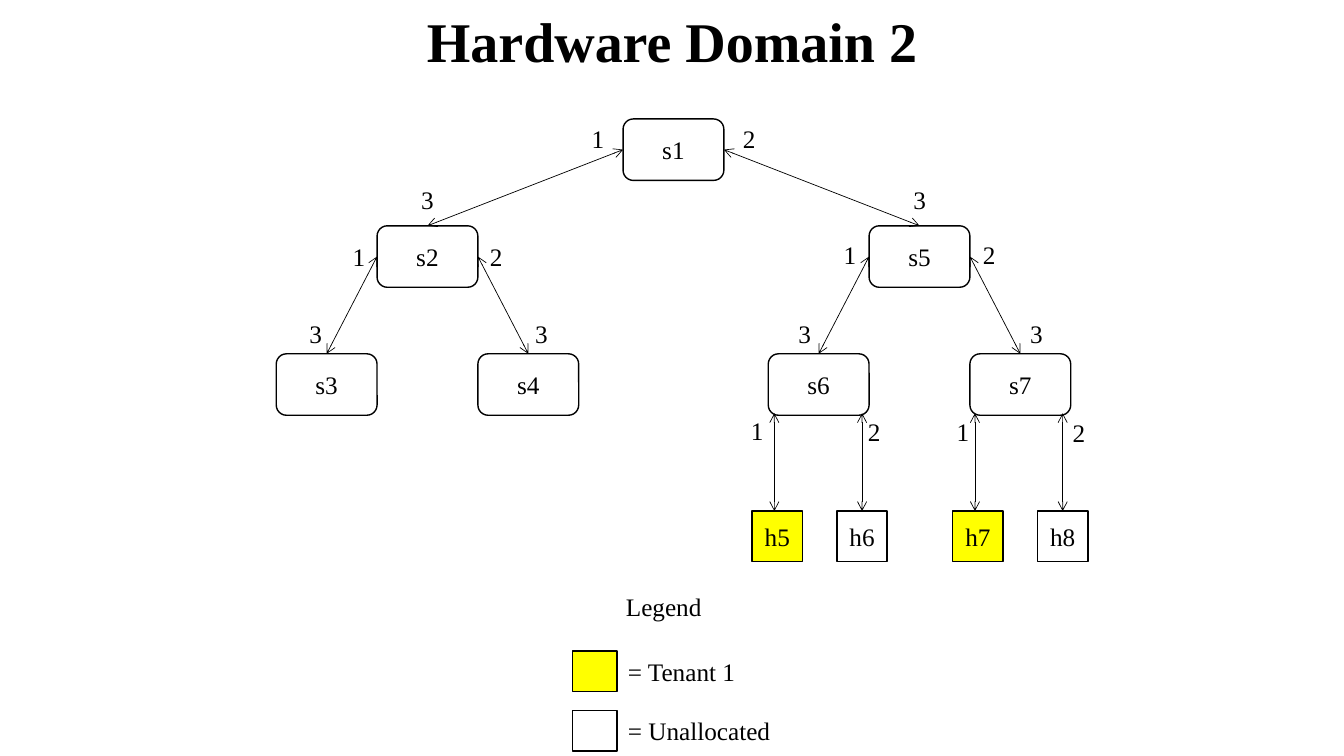
from dataclasses import dataclass

import pptx
import pptx.dml.color
import pptx.enum.shapes
import pptx.enum.text
import pptx.oxml
import pptx.oxml.ns
import pptx.shapes.autoshape
import pptx.shapes.connector
import pptx.slide
import pptx.util
from pptx.util import Inches

BLACK = pptx.dml.color.RGBColor(0, 0, 0)
WHITE = pptx.dml.color.RGBColor(255, 255, 255)
YELLOW = pptx.dml.color.RGBColor(255, 255, 0)
FONT = "Times New Roman"
ROUNDED = pptx.enum.shapes.MSO_SHAPE.ROUNDED_RECTANGLE
RECTANGLE = pptx.enum.shapes.MSO_SHAPE.RECTANGLE
TOP_SITE, LEFT_SITE, RIGHT_SITE = 0, 1, 3


@dataclass(frozen=True)
class Node:
    name: str
    left: float
    top: float
    width: float = 1
    height: float = 0.61
    fill: pptx.dml.color.RGBColor = WHITE
    outline: pptx.enum.shapes.MSO_SHAPE = ROUNDED


@dataclass(frozen=True)
class Uplink:
    child: str
    parent: str
    parent_site: int


@dataclass(frozen=True)
class Label:
    text: str
    left: float
    top: float
    width: float = 0.33
    height: float = 0.4
    size: int = 18
    title: bool = False


HOST_TOP, HOST_SIDE = 5.07, 0.5
LEGEND_LEFT, LEGEND_TOP, LEGEND_STEP = 5.68, 6.46, 0.59

SWITCHES = [
    Node("s1", 6.18, 1.18),
    Node("s2", 3.74, 2.24),
    Node("s5", 8.62, 2.24),
    Node("s3", 2.74, 3.51),
    Node("s4", 4.74, 3.51),
    Node("s6", 7.62, 3.51),
    Node("s7", 9.62, 3.51),
]
HOSTS = [
    Node(name, left, HOST_TOP, HOST_SIDE, HOST_SIDE, fill, RECTANGLE)
    for name, left, fill in [
        ("h5", 7.46, YELLOW),
        ("h6", 8.3, WHITE),
        ("h7", 9.45, YELLOW),
        ("h8", 10.29, WHITE),
    ]
]
UPLINKS = [
    Uplink("s2", "s1", LEFT_SITE),
    Uplink("s5", "s1", RIGHT_SITE),
    Uplink("s3", "s2", LEFT_SITE),
    Uplink("s4", "s2", RIGHT_SITE),
    Uplink("s6", "s5", LEFT_SITE),
    Uplink("s7", "s5", RIGHT_SITE),
]
HOST_LINK_LEFTS = [7.68, 8.55, 9.67, 10.54]
HOST_LINK_TOP = 4.1
PORTS = [
    Label("1", 5.77, 1.17),
    Label("2", 7.27, 1.17),
    Label("3", 4.08, 1.78),
    Label("3", 8.96, 1.78),
    Label("1", 3.4, 2.34),
    Label("2", 4.76, 2.34),
    Label("1", 8.27, 2.33),
    Label("2", 9.65, 2.33),
    Label("3", 2.97, 3.11),
    Label("3", 5.21, 3.11),
    Label("3", 7.82, 3.11),
    Label("3", 10.12, 3.11),
    Label("1", 7.35, 4.07),
    Label("2", 8.51, 4.08),
    Label("1", 9.39, 4.08),
    Label("2", 10.54, 4.09),
]
LEGEND = [("= Tenant 1", 1.27, YELLOW), ("= Unallocated", 1.61, WHITE)]


def write_text(frame: pptx.text.text.TextFrame, text: str, size: int, bold: bool, centred: bool) -> None:
    paragraph = frame.paragraphs[0]
    paragraph.text = text
    paragraph.font.name = FONT
    paragraph.font.size = pptx.util.Pt(size)
    paragraph.font.bold = bold
    paragraph.font.color.rgb = BLACK
    align = pptx.enum.text.PP_ALIGN
    paragraph.alignment = align.CENTER if centred else align.LEFT


def draw_node(slide: pptx.slide.Slide, node: Node) -> pptx.shapes.autoshape.Shape:
    box = slide.shapes.add_shape(
        node.outline, Inches(node.left), Inches(node.top), Inches(node.width), Inches(node.height)
    )
    box.shadow.inherit = False
    box.fill.solid()
    box.fill.fore_color.rgb = node.fill
    box.line.color.rgb = BLACK
    box.line.width = pptx.util.Pt(1)
    if node.name:
        box.text_frame.vertical_anchor = pptx.enum.text.MSO_ANCHOR.MIDDLE
        write_text(box.text_frame, node.name, 18, False, True)
    return box


def draw_link(
    slide: pptx.slide.Slide, left: float, bottom: float, top: float
) -> pptx.shapes.connector.Connector:
    link = slide.shapes.add_connector(
        pptx.enum.shapes.MSO_CONNECTOR.STRAIGHT, Inches(left), Inches(bottom), Inches(left), Inches(top)
    )
    link.line.color.rgb = BLACK
    link.line.width = pptx.util.Pt(0.5)
    outline = link.line._get_or_add_ln()
    for end in ("a:headEnd", "a:tailEnd"):
        arrowhead = pptx.oxml.xmlchemy.OxmlElement(end)
        arrowhead.set("type", "arrow")
        outline.append(arrowhead)
    link._element.spPr.append(pptx.oxml.xmlchemy.OxmlElement("a:effectLst"))
    return link


def draw_label(slide: pptx.slide.Slide, label: Label) -> None:
    box = slide.shapes.add_textbox(
        Inches(label.left), Inches(label.top), Inches(label.width), Inches(label.height)
    )
    box.text_frame.word_wrap = label.title
    box.text_frame.auto_size = pptx.enum.text.MSO_AUTO_SIZE.SHAPE_TO_FIT_TEXT
    write_text(box.text_frame, label.text, label.size, label.title, label.title)


def main() -> None:
    presentation = pptx.Presentation()
    presentation.slide_width = Inches(13.33)
    presentation.slide_height = Inches(7.5)
    slide = presentation.slides.add_slide(presentation.slide_layouts[6])

    draw_label(slide, Label("Hardware Domain 2", 0, 0.02, 13.33, 0.77, 40, True))

    switches = {switch.name: draw_node(slide, switch) for switch in SWITCHES}
    for host in HOSTS:
        draw_node(slide, host)

    for uplink in UPLINKS:
        link = draw_link(slide, 0, 0, 0)
        link.begin_connect(switches[uplink.child], TOP_SITE)
        link.end_connect(switches[uplink.parent], uplink.parent_site)
    for left in HOST_LINK_LEFTS:
        draw_link(slide, left, HOST_TOP, HOST_LINK_TOP)

    for port in PORTS:
        draw_label(slide, port)

    draw_label(slide, Label("Legend", 6.11, 5.82, 0.96))
    for row, (meaning, width, fill) in enumerate(LEGEND):
        top = LEGEND_TOP + row * LEGEND_STEP
        draw_node(slide, Node("", LEGEND_LEFT, top, 0.44, 0.4, fill, RECTANGLE))
        draw_label(slide, Label(meaning, LEGEND_LEFT + 0.45, top, width))

    presentation.save("out.pptx")


if __name__ == "__main__":
    main()
